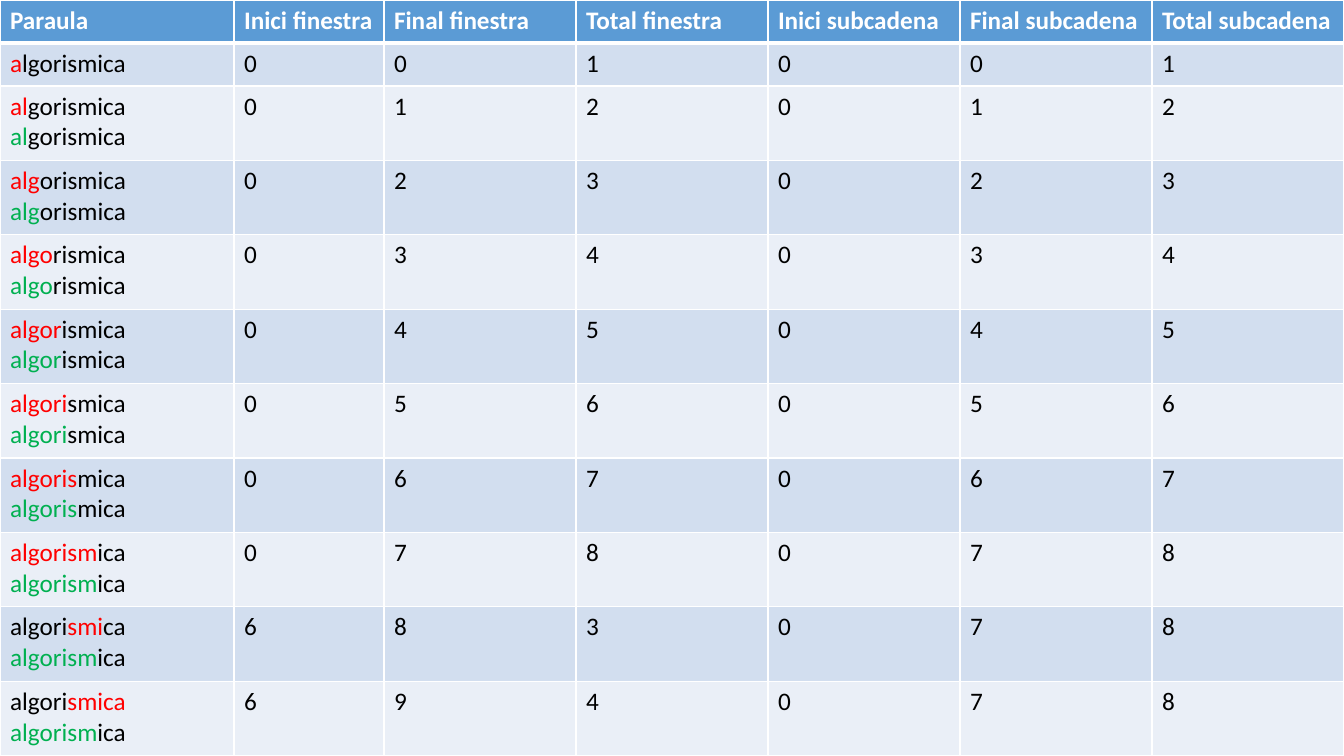
from lxml.etree import SubElement
from pptx import Presentation
from pptx.dml.color import RGBColor
from pptx.oxml.ns import qn
from pptx.util import Pt

WORD = "algorismica"
HEADERS = ["Paraula", "Inici finestra", "Final finestra", "Total finestra",
           "Inici subcadena", "Final subcadena", "Total subcadena"]
# First and last letter of the window, then of the best substring
STEPS = [((0, end), (0, end)) for end in range(8)]
STEPS += [((6, 8), (0, 7)), ((6, 9), (0, 7))]

COLORS = {"header": "5B9BD5", "odd": "D2DEEF", "even": "EAEFF7", "white": "FFFFFF",
          "text": "000000", "window": "FF0000", "substring": "00B050"}
FONT, SIZE = "Calibri", 18

PX = 914400 / 100.8
WIDTH, HEIGHT = 1344, 756
COLUMNS = [234, 150] + [192] * 5
SHORT_ROW = 43
TALL_ROW = (HEIGHT - 2 * SHORT_ROW) / (len(STEPS) - 1)
ROWS = [SHORT_ROW] * 2 + [TALL_ROW] * (len(STEPS) - 1)


def emu(px):
    """Turn pixels into EMU."""
    return round(px * PX)


def word_runs(span, color):
    """Split the word into runs, with the letters of the span coloured."""
    # The last two windows skip the repeated letter, so the last one ends the word
    start, end = span
    stop = len(WORD) if end == 9 else end + 1
    parts = [(WORD[:start], "text"), (WORD[start:stop], color), (WORD[stop:], "text")]
    return [part for part in parts if part[0]]


def set_borders(cell, **widths):
    """Draw white borders; widths are in points, by side letter."""
    tc_pr = cell._tc.get_or_add_tcPr()
    for side in "LRTB":
        ln = SubElement(tc_pr, qn("a:ln" + side), w=str(Pt(widths.get(side, 1))))
        fill = SubElement(ln, qn("a:solidFill"))
        SubElement(fill, qn("a:srgbClr"), val=COLORS["white"])


def fill_cell(cell, lines, fill, bold=False, **widths):
    """Format a cell and write its lines, each a list of (text, colour) runs."""
    set_borders(cell, **widths)
    cell.fill.solid()
    cell.fill.fore_color.rgb = RGBColor.from_string(COLORS[fill])
    tf = cell.text_frame
    for i, runs in enumerate(lines):
        p = tf.add_paragraph() if i else tf.paragraphs[0]
        for text, color in runs:
            r = p.add_run()
            r.text = text
            r.font.name, r.font.size, r.font.bold = FONT, Pt(SIZE), bold
            r.font.color.rgb = RGBColor.from_string(COLORS[color])


prs = Presentation()
prs.slide_width, prs.slide_height = emu(WIDTH), emu(HEIGHT)
s = prs.slides.add_slide(prs.slide_layouts[6])
table = s.shapes.add_table(len(ROWS), len(COLUMNS), 0, 0, emu(WIDTH), emu(HEIGHT)).table
table.horz_banding = False
for column, width in zip(table.columns, COLUMNS):
    column.width = emu(width)
for row, height in zip(table.rows, ROWS):
    row.height = emu(height)

for col, header in enumerate(HEADERS):
    fill_cell(table.cell(0, col), [[(header, "white")]], "header", bold=True, B=3)

for row, (window, substring) in enumerate(STEPS, 1):
    words = [word_runs(window, "window")]
    if row > 1:
        words.append(word_runs(substring, "substring"))
    numbers = [n for start, end in (window, substring)
               for n in (start, end, end - start + 1)]
    cells = [words] + [[[(str(n), "text")]] for n in numbers]
    for col, lines in enumerate(cells):
        fill_cell(table.cell(row, col), lines, "odd" if row % 2 else "even",
                  T=3 if row == 1 else 1)

prs.save("out.pptx")
